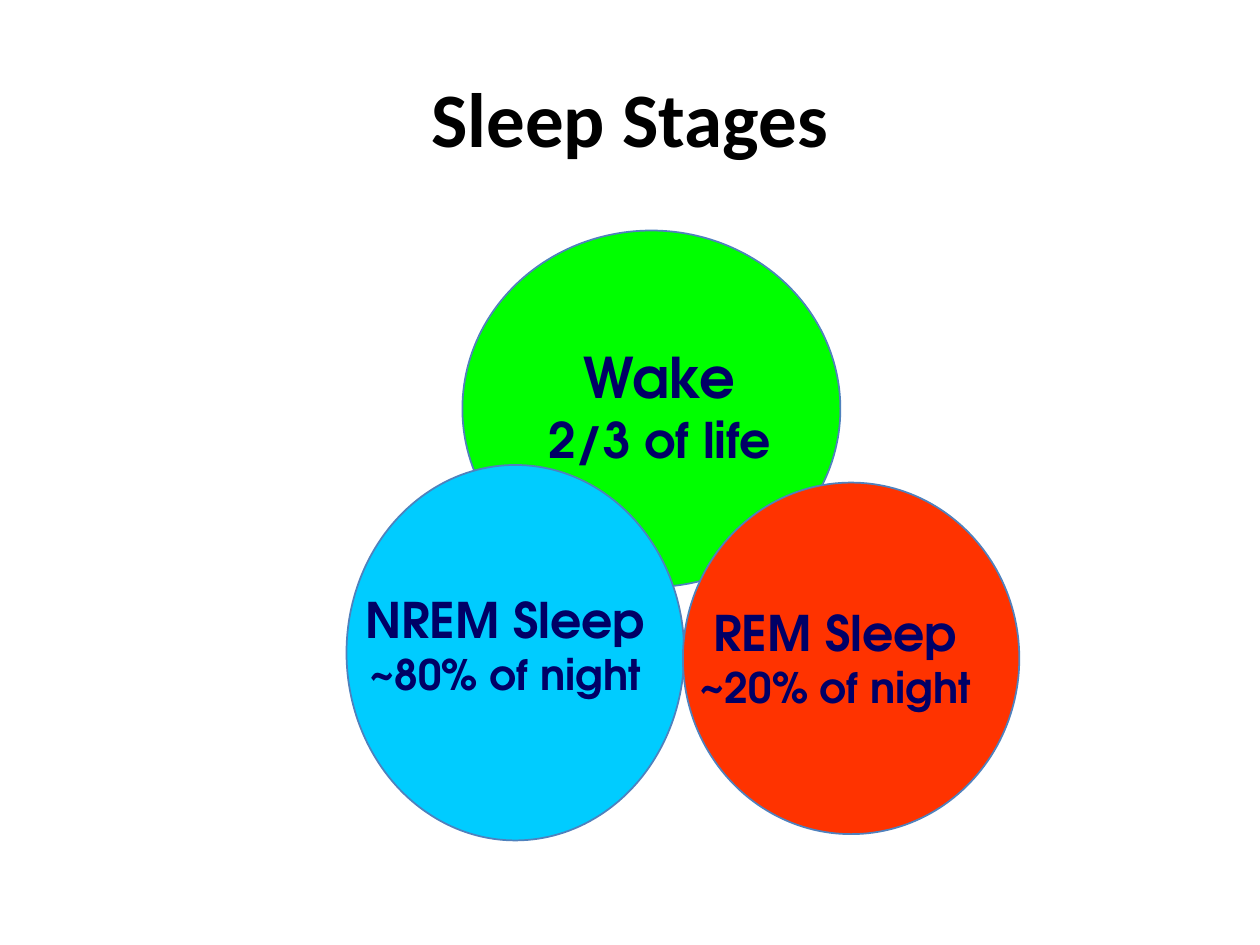
from pptx import Presentation
from pptx.dml.color import RGBColor
from pptx.enum.shapes import MSO_SHAPE
from pptx.enum.text import MSO_ANCHOR, PP_ALIGN
from pptx.util import Inches, Pt

OVAL = MSO_SHAPE.OVAL
MIDDLE = MSO_ANCHOR.MIDDLE
CENTER = PP_ALIGN.CENTER


def color(value):
    """Turn a hex string into a colour."""
    return RGBColor.from_string(value)


def place(box):
    """Turn left, top, width and height into lengths."""
    return [Inches(side) for side in box]


class Deck:
    """Hold the style and the current slide."""

    head_font = "Calibri"
    font = "TeX Gyre Adventor"
    ink = "000066"
    edge = "4F81BD"

    def __init__(self, show):
        """Add a slide with only a title."""
        self.slide = show.slides.add_slide(show.slide_layouts[5])

    def fill_text(self, frame, lines, sizes, font, ink):
        """Fill a text frame with bold centred lines."""
        frame.text = "\n".join(lines)
        frame.vertical_anchor = MIDDLE
        for para, size in zip(frame.paragraphs, sizes):
            para.alignment = CENTER
            for run in para.runs:
                run.font.name = font
                run.font.size = Pt(size)
                run.font.bold = True
                run.font.color.rgb = color(ink)

    def title(self, text, box):
        """Place and fill the title."""
        title = self.slide.shapes.title
        title.left, title.top, title.width, title.height = place(box)
        self.fill_text(title.text_frame, [text], [44], self.head_font, "000000")

    def oval(self, shapes, box, fill):
        """Draw a filled oval."""
        oval = shapes.add_shape(OVAL, *place(box))
        oval.shadow.inherit = False
        oval.fill.solid()
        oval.fill.fore_color.rgb = color(fill)
        oval.line.color.rgb = color(self.edge)
        oval.line.width = Pt(1)

    def label(self, shapes, box, lines, sizes):
        """Set a label in its own text box."""
        frame = shapes.add_textbox(*place(box)).text_frame
        frame.word_wrap = False
        self.fill_text(frame, lines, sizes, self.font, self.ink)

    def stage(self, oval, fill, box, lines, sizes, group):
        """Draw a sleep stage as an oval with a label."""
        shapes = self.slide.shapes
        if group:
            shapes = shapes.add_group_shape().shapes
        self.oval(shapes, oval, fill)
        self.label(shapes, box, lines, sizes)


def main():
    """Build and save the slide."""
    show = Presentation()
    show.slide_width, show.slide_height = Inches(10), Inches(7.5)
    deck = Deck(show)
    deck.title("Sleep Stages", (0.5, 0.3, 9, 1.25))
    stages = [
        ((3.67, 1.83, 3, 2.83), "00FF00", (4.23, 2.67, 2.01, 1.1),
         ("Wake", "2/3 of life"), (32, 28), True),
        ((2.75, 3.69, 2.68, 2.98), "00CCFF", (2.67, 4.63, 2.68, 0.97),
         ("NREM Sleep", "~80% of night"), (28, 24), True),
        ((5.42, 3.83, 2.67, 2.79), "FF3300", (5.42, 4.53, 2.42, 1.37),
         ("REM Sleep", "~20% of night"), (28, 24), False),
    ]
    for stage in stages:
        deck.stage(*stage)
    show.save("out.pptx")


if __name__ == "__main__":
    main()
